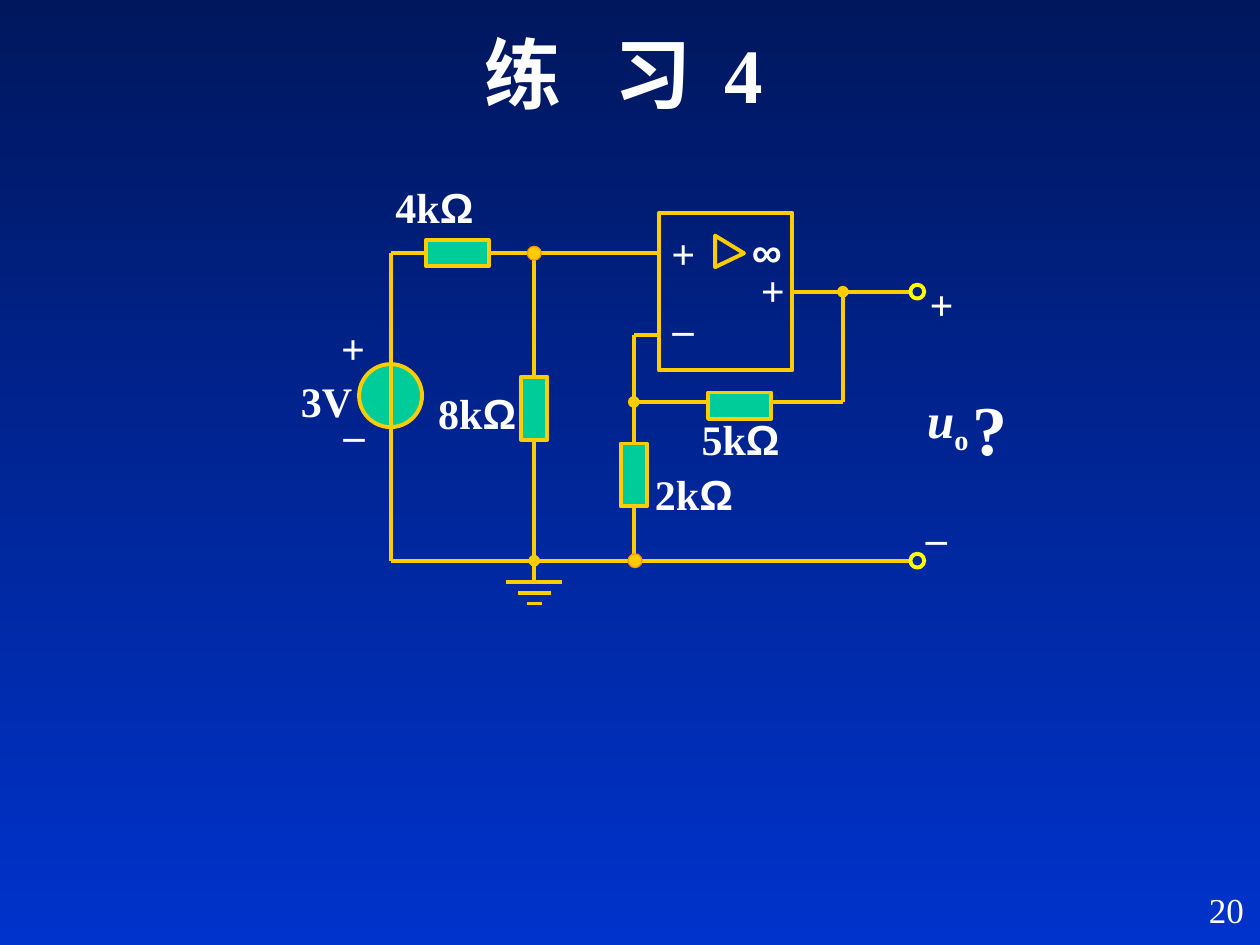
from pptx import Presentation
from pptx.dml.color import RGBColor
from pptx.enum.shapes import MSO_CONNECTOR, MSO_SHAPE
from pptx.enum.text import PP_ALIGN
from pptx.oxml.ns import qn
from pptx.util import Inches, Pt
from lxml.etree import SubElement

NAVY = RGBColor(0x00, 0x17, 0x5E)
BLUE = RGBColor(0x00, 0x33, 0xCC)
GOLD = RGBColor(0xFF, 0xCC, 0x00)
ORANGE = RGBColor(0xFF, 0x99, 0x00)
YELLOW = RGBColor(0xFF, 0xFF, 0x00)
GREEN = RGBColor(0x00, 0xCC, 0x99)
WHITE = RGBColor(0xFF, 0xFF, 0xFF)

COLS, ROWS = 100, 75
CELL = Inches(10) // COLS
SERIF, SANS = "Times New Roman", "Arial"


class Region:
    """Draws on a slide in grid cells counted from the corner of its box."""

    def __init__(self, s, box):
        self.shapes = s.shapes
        self.left, self.top, self.width, self.height = box

    def at(self, x, y):
        return round((self.left + x) * CELL), round((self.top + y) * CELL)

    def shape(self, kind, x, y, w, h, fill=None, line=GOLD, weight=2.25):
        """Place a preset shape by its centre."""
        sp = self.shapes.add_shape(kind, *self.at(x - w / 2, y - h / 2),
                                   round(w * CELL), round(h * CELL))
        sp.shadow.inherit = False
        if fill is None:
            sp.fill.background()
        else:
            sp.fill.solid()
            sp.fill.fore_color.rgb = fill
        sp.line.color.rgb = line
        sp.line.width = Pt(weight)
        return sp

    def wire(self, x1, y1, x2, y2, dot=None):
        """Draw a wire; dot is headEnd or tailEnd for a junction there."""
        c = self.shapes.add_connector(
            MSO_CONNECTOR.STRAIGHT, *self.at(x1, y1), *self.at(x2, y2))
        c.line.color.rgb = GOLD
        c.line.width = Pt(2.25)
        if dot:
            SubElement(c.line._get_or_add_ln(), qn("a:" + dot), type="oval")
        SubElement(c._element.spPr, qn("a:effectLst"))
        return c

    def text(self, x, y, w, h, runs, size=24, bold=True, align=PP_ALIGN.LEFT):
        """Place a one-line text box; runs holds (text, font) pairs."""
        tb = self.shapes.add_textbox(*self.at(x, y), round(w * CELL), round(h * CELL))
        tf = tb.text_frame
        tf.word_wrap = True
        p = tf.paragraphs[0]
        p.alignment = align
        for words, font in runs:
            r = p.add_run()
            r.text = words
            r.font.name = font
            r.font.size = Pt(size)
            r.font.bold = bold
            r.font.color.rgb = WHITE
        return tf


def paint_background(s):
    fill = s.background.fill
    fill.gradient()
    fill.gradient_angle = 270
    for stop, color in zip(fill.gradient_stops, (NAVY, BLUE)):
        stop.color.rgb = color


def add_title(s, box):
    area = Region(s, box)
    parts = ["练", " ", "习", " ", "4"]
    tf = area.text(0, 0, area.width, area.height, [(t, SERIF) for t in parts],
                   44, align=PP_ALIGN.CENTER)
    runs = tf.paragraphs[0].runs
    for gap, spacing in ((runs[1], 20), (runs[3], 9)):
        gap.font._element.set("spc", str(spacing * 100))


def add_circuit(s, box):
    area = Region(s, box)
    source, shunt, feedback, amp_in, amp_out, output, end = (
        8, 19.4, 27.3, 29.3, 39.9, 43.9, 49.8)
    top, out, inverting, loop, bottom = 6.1, 9.15, 12.6, 17.9, 30.5

    area.shape(MSO_SHAPE.OVAL, source, 17.4, 5, 5, GREEN)
    amp = area.shape(MSO_SHAPE.RECTANGLE, (amp_in + amp_out) / 2, out,
                     amp_out - amp_in, 12.5)
    gain = area.shape(MSO_SHAPE.ISOSCELES_TRIANGLE, 34.9, 5.95, 2.5, 2.3)
    gain.rotation = 90
    gain.adjustments[0] = 0.56

    for ends in ((source, top, amp_in, top), (source, top, source, bottom),
                 (source, bottom, end - 0.6, bottom), (shunt, top, shunt, bottom),
                 (feedback, loop, output, loop), (amp_in, inverting, feedback, inverting),
                 (feedback, loop, feedback, bottom)):
        area.wire(*ends)
    area.wire(output, loop, output, out, "tailEnd")
    area.wire(feedback, inverting, feedback, loop, "tailEnd")
    area.wire(amp_out, out, end - 0.5, out).begin_connect(amp, 3)

    area.wire(shunt, bottom, shunt, 32.2, "headEnd")
    for y, w in ((32.2, 4.4), (33.1, 2.6), (33.9, 1.2)):
        area.wire(shunt - w / 2, y, shunt + w / 2, y)

    for x, y, w, h in ((13.3, top, 5, 2.1), (shunt, 18.4, 2.1, 5),
                       (35.7, 18.2, 5, 2.1), (feedback, 23.7, 2.1, 5)):
        area.shape(MSO_SHAPE.RECTANGLE, x, y, w, h, GREEN)
    for y in (out, bottom):
        area.shape(MSO_SHAPE.OVAL, end, y, 1.1, 1.1, line=YELLOW)
    for x, y in ((shunt, top), (feedback + 0.1, bottom)):
        area.shape(MSO_SHAPE.OVAL, x, y, 1.1, 1.1, GOLD, ORANGE, 0.75)

    for x, y, ohms in ((7.4, -0.1, "4k"), (10.8, 16.3, "8k"),
                       (31.7, 18.3, "5k"), (28, 22.7, "2k")):
        area.text(x, y, 13.3, 5, [(ohms, SERIF), ("Ω", SANS)])
    for x, y, sign in ((3.1, 11.1, "+"), (3.3, 16.8, "_"), (29.3, 3.6, "+"),
                       (29.4, 8.4, "_"), (36.4, 6.5, "+"), (49.8, 7.6, "+"),
                       (49.5, 25, "_")):
        area.text(x, y, 4, 5, [(sign, SERIF)])
    area.text(35.7, 3.4, 4.6, 5, [("∞", SANS)])
    area.text(-0.1, 15.3, 6.4, 5, [("3V", SERIF)])
    area.text(53.2, 16.1, 6.2, 7.7, [("?", SERIF)], 40)
    u, sub = area.text(49.6, 16.4, 6, 6.3, [("u", SERIF), ("o", SERIF)],
                       28).paragraphs[0].runs
    u.font.italic = True
    sub.font._element.set("baseline", "-25000")


def add_page_number(s, box):
    area = Region(s, box)
    area.text(0, 0, area.width, area.height, [("20", SERIF)], 20, False, PP_ALIGN.RIGHT)


def main():
    prs = Presentation()
    prs.slide_width, prs.slide_height = COLS * CELL, ROWS * CELL
    s = prs.slides.add_slide(prs.slide_layouts[6])
    paint_background(s)
    add_title(s, (10.8, 1.6, 77.4, 7.8))
    add_circuit(s, (23, 14, 60, 35))
    add_page_number(s, (78.9, 70, 20.8, 5))
    prs.save("out.pptx")


if __name__ == "__main__":
    main()
